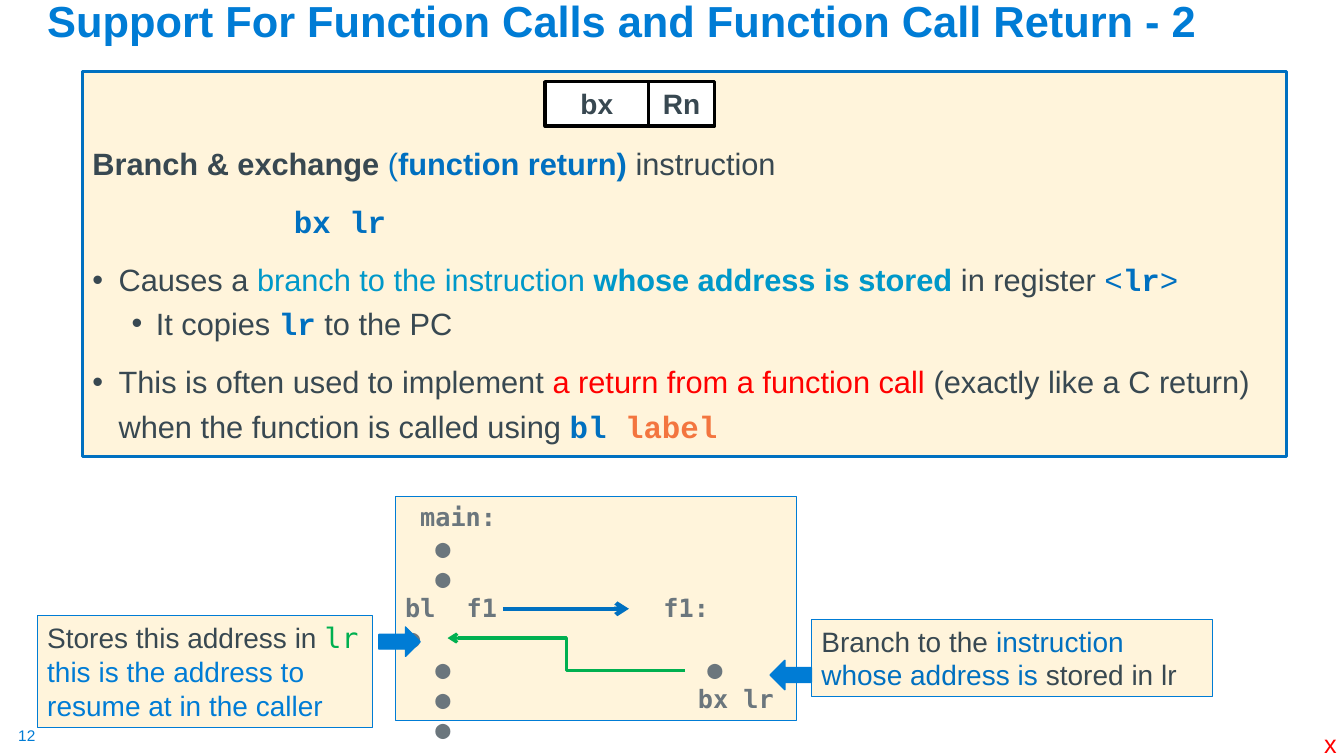
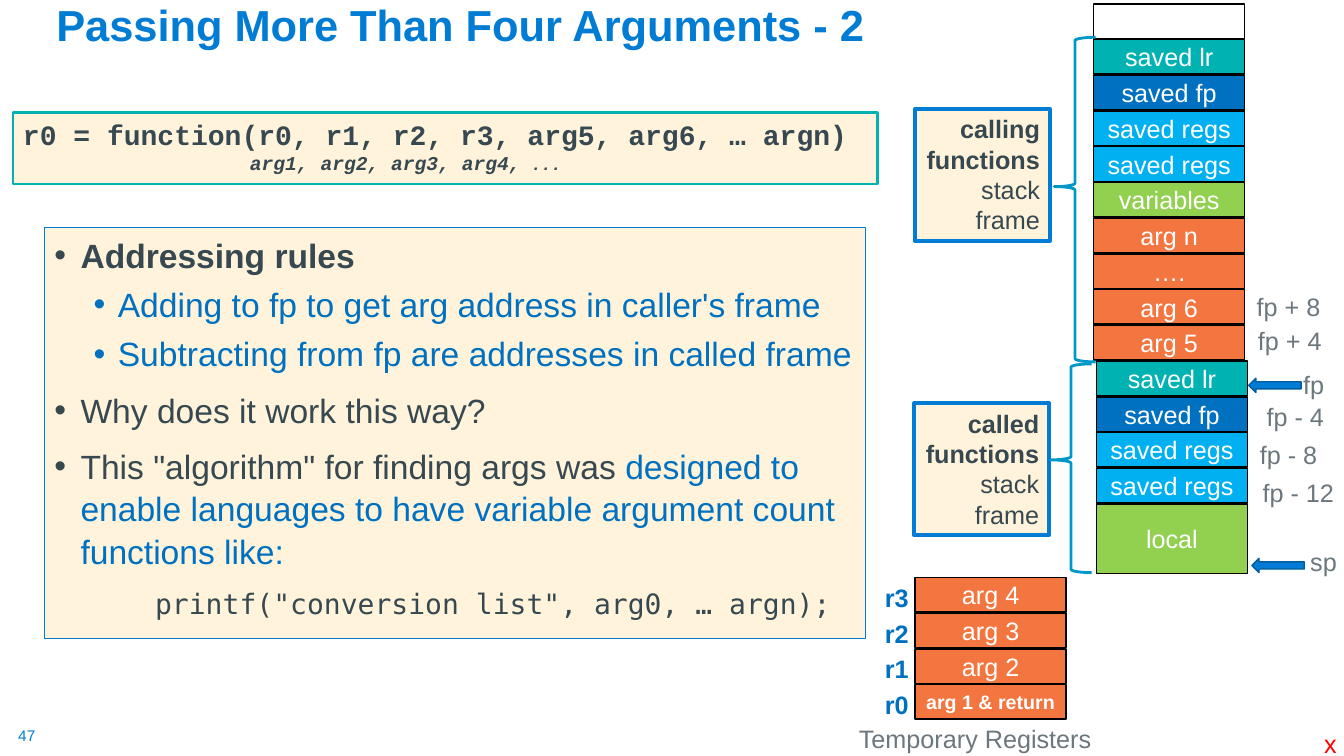
from dataclasses import dataclass

from lxml import etree
from pptx import Presentation
from pptx.dml.color import RGBColor
from pptx.enum import shapes, text
from pptx.oxml import ns
from pptx.util import Cm, Pt


class Theme:
    colors = {
        "ink": "384851", "title": "007CD5", "blue": "0070C0", "cyan": "0098C9",
        "gray": "6B767D", "red": "FF0000", "green": "00B050", "orange": "F3753F",
        "teal": "00B2B1", "sky": "00B0F0", "lime": "92D050", "cream": "FFF4DB",
        "navy": "005C9E", "white": "FFFFFF", "black": "000000",
    }
    fonts = {"sans": "Arial", "courier": "Courier New", "mono": "DejaVu Sans Mono"}
    sizes = {"heading": 31, "rules": 24, "body": 22, "note": 20, "label": 18,
             "small": 14, "tiny": 12, "number": 11}


KIND = shapes.MSO_SHAPE
LEFT, CENTER, RIGHT = text.PP_ALIGN.LEFT, text.PP_ALIGN.CENTER, text.PP_ALIGN.RIGHT
TOP, MIDDLE, BOTTOM = text.MSO_ANCHOR.TOP, text.MSO_ANCHOR.MIDDLE, text.MSO_ANCHOR.BOTTOM


@dataclass
class Para:
    """A paragraph; each run is a string or (string, style words). Lengths in cm."""
    runs: list
    style: str = ""
    bullet: int = 0
    indent: float = 0
    tabs: tuple = ()
    before: float = 0
    spacing: float = 1
    align: int = LEFT


# ---------- content: slide 1 ----------
RETURN_TITLE = "Support For Function Calls and Function Call Return - 2"
RETURN_BODY = [
    Para([("Branch & exchange ", "bold"), ("(", "blue"), ("function return) ", "blue bold"),
          "instruction"], spacing=1.2),
    Para(["bx lr"], "courier blue bold", indent=5.08, before=10, spacing=1.2),
    Para(["Causes a ", ("branch to the instruction ", "cyan"),
          ("whose address is stored", "cyan bold"), " in register ",
          ("<", "courier blue"), ("lr", "courier blue bold"), (">", "courier blue")],
         bullet=1, before=10, spacing=1.2),
    Para(["It copies ", ("lr", "courier blue bold"), " to the PC"],
         bullet=2, before=5),
    Para(["This is often used to implement ", ("a return from a function call ", "red"),
          "(exactly like a C return) when the function is called using ",
          ("bl ", "courier blue bold"), ("label", "courier orange bold")],
         bullet=1, before=10, spacing=1.2),
]
INSTRUCTION = [("bx", 2.6), ("Rn", 1.67)]
CALL_FLOW = [  # text and its tab stops
    ("\tmain:", (0.38,)),
    ("\t●", (0.76,)),
    ("\t●", (0.76,)),
    ("bl\tf1\tf1:", (1.55, 6.51)),
    ("●", ()),
    ("\t●\t●", (0.76, 7.62)),
    ("\t●\tbx lr", (0.76, 7.38)),
    ("\t●", (0.76,)),
]
STORE_NOTE = [
    Para(["Stores this address in ", ("lr", "mono green")]),
    Para(["this is the address to resume at in the caller"], "title"),
]
BRANCH_NOTE = [Para(["Branch to the ", ("instruction whose address is ", "blue"),
                     "stored in lr"])]

# ---------- content: slide 2 ----------
ARGS_TITLE = "Passing More Than Four Arguments - 2"
SIGNATURE = [
    Para(["r0 = function(r0, r1, r2, r3, arg5, arg6, … argn)"], "courier bold note"),
    Para(["arg1, arg2, arg3, arg4,", (" ...", "tiny")], "courier bold italic small",
         indent=5.72),
]
RULES = [
    Para(["Addressing rules"], "bold", bullet=1, spacing=1.05),
    Para(["Adding to fp to get arg address in caller's frame"], "blue",
         bullet=2, before=5, spacing=1.05),
    Para(["Subtracting from fp are addresses in called frame"], "blue",
         bullet=2, before=5, spacing=1.05),
    Para(["Why does it work this way?"], bullet=1, before=10, spacing=1.05),
    Para(['This "algorithm" for finding args was ',
          ("designed to enable languages to have variable argument count functions like:",
           "blue")], bullet=1, before=10, spacing=1.05),
    Para(['printf("conversion list", arg0, … argn);'], "mono note",
         indent=2.54, before=10, spacing=1.05),
]
CALLING_CELLS = [("", None), ("saved lr", "teal"), ("saved fp", "blue"),
                 ("saved regs", "sky"), ("saved regs", "sky"), ("variables", "lime"),
                 ("arg n", "orange"), ("….", "orange"), ("arg 6", "orange"),
                 ("arg 5", "orange")]
CALLED_CELLS = [("saved lr", "teal"), ("saved fp", "blue"), ("saved regs", "sky"),
                ("saved regs", "sky"), ("local", "lime")]
REGISTERS = [("r3", "arg 4"), ("r2", "arg 3"), ("r1", "arg 2"), ("r0", "arg 1 & return")]
FRAMES = [  # name, label left and top, brace left, top and height
    ("calling", 23.06, 2.74, 26.57, 0.94, 8.18),
    ("called", 23.04, 10.16, 26.47, 9.17, 5.26),
]
OFFSETS = [  # label, left, top, width
    ("fp + 8", 31.42, 7.21, 2.13), ("fp + 4", 31.45, 8.08, 2.13),
    ("fp", 32.59, 9.19, 1.04), ("fp - 4", 31.67, 9.98, 1.98),
    ("fp - 8", 31.5, 10.95, 1.98), ("fp - 12", 31.57, 11.91, 2.34),
    ("sp", 32.77, 13.64, 1.19),
]
POINTERS = [(31.47, 9.53), (31.55, 14.07)]
CELL_W, CELL_H, CELL_PITCH = 3.81, 0.87, 0.9
LABEL_H = 1.02


def color(name):
    return RGBColor.from_string(Theme.colors[name])


def style_font(font, words):
    for word in words.split():
        if word in Theme.colors:
            font.color.rgb = color(word)
        elif word in Theme.fonts:
            font.name = Theme.fonts[word]
        elif word in Theme.sizes:
            font.size = Pt(Theme.sizes[word])
        else:
            setattr(font, word, True)


def add_bullet_and_tabs(paragraph, para):
    props = paragraph._p.get_or_add_pPr()
    if para.bullet:
        margin, hang = [(0.66, 0.66), (1.6, 0.61)][para.bullet - 1]
        props.set("marL", str(Cm(margin)))
        props.set("indent", str(-Cm(hang)))
        etree.SubElement(props, ns.qn("a:buFont"), typeface="Arial")
        etree.SubElement(props, ns.qn("a:buChar"), char="•")
    elif para.indent:
        props.set("marL", str(Cm(para.indent)))
    if para.tabs:
        stops = etree.SubElement(props, ns.qn("a:tabLst"))
        for stop in para.tabs:
            etree.SubElement(stops, ns.qn("a:tab"), pos=str(Cm(stop)), algn="l")


def write(shape, paras, style, anchor=TOP, wrap=True, inset=None):
    frame = shape.text_frame
    frame.word_wrap = wrap
    frame.vertical_anchor = anchor
    if inset is not None:
        frame.margin_left = frame.margin_right = Cm(inset)
        frame.margin_top = frame.margin_bottom = Cm(inset)
    for index, para in enumerate(paras):
        paragraph = frame.add_paragraph() if index else frame.paragraphs[0]
        paragraph.alignment = para.align
        paragraph.line_spacing = para.spacing
        paragraph.space_before = Pt(para.before)
        add_bullet_and_tabs(paragraph, para)
        style_font(paragraph.font, f"sans ink {style} {para.style}")
        for part in para.runs:
            words, run_style = (part, "") if isinstance(part, str) else part
            run = paragraph.add_run()
            run.text = words
            style_font(run.font, run_style)


def add_label(slide, words, box, style, anchor=TOP, wrap=False, inset=None, **options):
    label = slide.shapes.add_textbox(*map(Cm, box))
    write(label, [Para([words], **options)], style, anchor, wrap, inset)


def add_panel(slide, box, fill="cream", line="title", weight=0.75, kind=KIND.RECTANGLE):
    panel = slide.shapes.add_shape(kind, *map(Cm, box))
    panel.shadow.inherit = False
    if fill:
        panel.fill.solid()
        panel.fill.fore_color.rgb = color(fill)
    else:
        panel.fill.background()
    panel.line.color.rgb = color(line)
    panel.line.width = Pt(weight)
    return panel


def add_arrow_line(slide, kind, start, end, line, weight):
    arrow = slide.shapes.add_connector(kind, *map(Cm, start + end))
    arrow.line.color.rgb = color(line)
    arrow.line.width = Pt(weight)
    outline = arrow.line._get_or_add_ln()
    etree.SubElement(outline, ns.qn("a:tailEnd"), type="arrow")
    etree.SubElement(arrow._element.spPr, ns.qn("a:effectLst"))


def add_cell(slide, left, top, words, fill, height=CELL_H, style="label"):
    cell = add_panel(slide, (left, top, CELL_W, height), fill, "black", 1)
    if words:
        write(cell, [Para([words], align=CENTER)], f"white {style}", MIDDLE)


def add_base_slide(deck, title, title_box, number):
    slide = deck.slides.add_slide(deck.slide_layouts[6])
    add_label(slide, number, (0.46, 18.31, 0.48, 0.48), "title number", inset=0)
    add_label(slide, title, title_box, "title heading bold", BOTTOM, True, spacing=0.9)
    add_label(slide, "x", (33.12, 18.24, 0.84, LABEL_H), "red label")
    return slide


def build_return_slide(deck):
    slide = add_base_slide(deck, RETURN_TITLE, (0.94, 0.2, 32.69, 1.12), "12")

    body = add_panel(slide, (2.08, 1.8, 30.35, 9.7), line="blue", weight=2.25)
    write(body, RETURN_BODY, "body")
    body.text_frame.margin_top = Cm(1.65)

    left = 13.74
    for field, width in INSTRUCTION:
        cell = add_panel(slide, (left, 2.06, width, 1.12), "white", "black", 2.5)
        write(cell, [Para([field], align=CENTER)], "note bold")
        left += width

    flow = add_panel(slide, (9.96, 12.52, 10.11, 5.64))
    write(flow, [Para([words], tabs=tabs) for words, tabs in CALL_FLOW],
          "mono gray label bold")
    connector = shapes.MSO_CONNECTOR
    add_arrow_line(slide, connector.STRAIGHT, (12.67, 15.34), (15.85, 15.34), "blue", 3)
    add_arrow_line(slide, connector.ELBOW, (17.27, 16.89), (11.28, 16.08), "green", 2.25)

    for note, box in [(BRANCH_NOTE, (20.45, 15.6, 10.11, 1.96)),
                      (STORE_NOTE, (0.94, 15.52, 8.46, 2.82))]:
        write(add_panel(slide, box), note, "note")
    for kind, left, top in [(KIND.LEFT_ARROW, 19.41, 16.64),
                            (KIND.RIGHT_ARROW, 9.55, 15.8)]:
        add_panel(slide, (left, top, 1.04, 0.74), "title", "title", 1, kind)


def build_arguments_slide(deck):
    slide = add_base_slide(deck, ARGS_TITLE, (1.17, 0.05, 29.21, 1.37), "47")

    signature = add_panel(slide, (0.33, 2.84, 21.79, 1.8), line="teal", weight=1.75)
    write(signature, SIGNATURE, "")
    rules = add_panel(slide, (1.12, 5.74, 20.7, 10.34))
    write(rules, RULES, "rules")

    top = 0.1
    for left, cells in [(27.56, CALLING_CELLS), (27.63, CALLED_CELLS)]:
        for words, fill in cells:
            height = 1.75 if words == "local" else CELL_H
            add_cell(slide, left, top, words, fill, height)
            top += CELL_PITCH

    for row, (register, argument) in enumerate(REGISTERS):
        top = 14.55 + row * CELL_PITCH
        style = "small bold" if register == "r0" else "label"
        add_cell(slide, 23.06, top, argument, "orange", style=style)
        add_label(slide, register, (22.05, top, 1.12, LABEL_H), "blue label bold")
    add_label(slide, "Temporary Registers", (21.36, 18.11, 6.43, LABEL_H),
              "gray label", align=CENTER)

    for name, left, top, brace_left, brace_top, brace_height in FRAMES:
        frame = add_panel(slide, (left, top, 3.4, 3.33), weight=2.75)
        write(frame, [Para([(f"{name} functions ", "bold"), "stack frame"], align=RIGHT)],
              "label")
        brace = add_panel(slide, (brace_left, brace_top, 1.04, brace_height),
                          None, "cyan", 2, KIND.LEFT_BRACE)
        brace.adjustments[0], brace.adjustments[1] = 0.08, 0.46

    for words, left, top, width in OFFSETS:
        add_label(slide, words, (left, top, width, LABEL_H), "gray label")
    for left, top in POINTERS:
        add_panel(slide, (left, top, 1.32, 0.36), "title", "navy", 1, KIND.LEFT_ARROW)


def main():
    deck = Presentation()
    deck.slide_width, deck.slide_height = Cm(33.87), Cm(19.05)
    build_return_slide(deck)
    build_arguments_slide(deck)
    deck.save("out.pptx")


if __name__ == "__main__":
    main()
